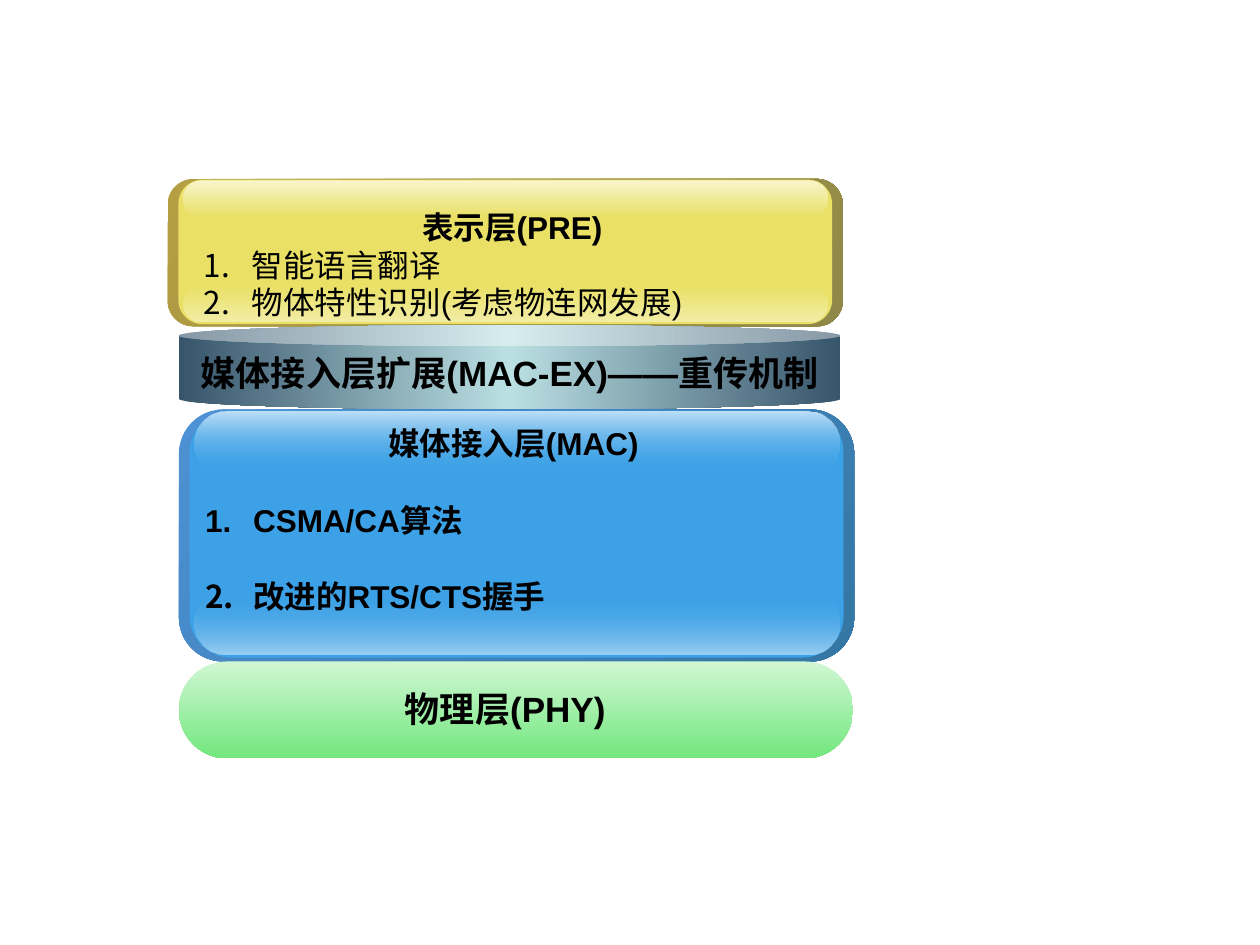
"""Draw a four-layer network stack: PRE, MAC-EX, MAC and PHY."""
from dataclasses import dataclass

import pptx
import pptx.dml.color
import pptx.enum.shapes
import pptx.enum.text
import pptx.oxml
import pptx.oxml.ns
import pptx.util

SHAPES = pptx.enum.shapes.MSO_SHAPE
ALIGN = pptx.enum.text.PP_ALIGN
ANCHOR = pptx.enum.text.MSO_ANCHOR
WIDE, HIGH = pptx.util.Inches(10), pptx.util.Inches(7.5)
COLS, ROWS = 1000, 750


@dataclass(frozen=True)
class Theme:
    font: str = "Arial"
    ink: str = "000000"
    small: int = 18
    large: int = 20
    steel: tuple = ("37556B", "BBE0E3", "37556B")
    green: tuple = ("D0F7D4", "73E77E")


@dataclass(frozen=True)
class Box:
    col: float
    row: float
    cols: float
    rows: float

    def inner(self, left: float, top: float, wide: float, high: float) -> "Box":
        return Box(self.col + left * self.cols, self.row + top * self.rows,
                   wide * self.cols, high * self.rows)

    def place(self) -> tuple:
        return (round(self.col * WIDE / COLS), round(self.row * HIGH / ROWS),
                round(self.cols * WIDE / COLS), round(self.rows * HIGH / ROWS))


@dataclass(frozen=True)
class Line:
    text: str
    size: int
    bold: bool = True
    item: bool = False
    gap: int = 0


@dataclass(frozen=True)
class Panel:
    box: Box
    edge: tuple
    face: str
    shine: str
    glow: str
    clear: bool
    label: Box
    lines: tuple


THEME = Theme()
PANELS = (
    Panel(Box(142, 325, 536, 200), ("4E91D4", "3477A4"), "3CA1E6", "BEE0F7", "9BCFF2", True,
          Box(153, 332, 509, 160),
          (Line("媒体接入层(MAC)", THEME.small),
           Line("CSMA/CA算法", THEME.small, item=True, gap=22),
           Line("改进的RTS/CTS握手", THEME.small, item=True, gap=22))),
    Panel(Box(133, 142, 536, 117), ("B59F43", "8F8849"), "E9E065", "F8F5CC", "F2EDA6", False,
          Box(152, 160, 509, 100),
          (Line("表示层(PRE)", THEME.small),
           Line("智能语言翻译", THEME.small, bold=False, item=True),
           Line("物体特性识别(考虑物连网发展)", THEME.small, bold=False, item=True))),
)


def shade(shape, tones: tuple, angle: int, clear: str = "") -> None:
    """Fill a shape with evenly spaced tones; the clear tone is see-through."""
    step = 100000 // (len(tones) - 1)
    stops = "".join(
        f'<a:gs pos="{i * step}"><a:srgbClr val="{tone}">'
        f'{"<a:alpha val=" + chr(34) + "0" + chr(34) + "/>" if tone == clear else ""}'
        f'</a:srgbClr></a:gs>' for i, tone in enumerate(tones))
    fill = pptx.oxml.parse_xml(
        f'<a:gradFill {pptx.oxml.ns.nsdecls("a")} rotWithShape="1"><a:gsLst>{stops}</a:gsLst>'
        f'<a:lin ang="{angle * 60000}" scaled="0"/></a:gradFill>')
    shape.fill.background()
    props = shape.element.spPr
    props.replace(props.find(pptx.oxml.ns.qn("a:noFill")), fill)


def block(slide, kind, box: Box, bend: float):
    """Add a plain shape without line or shadow."""
    shape = slide.shapes.add_shape(kind, *box.place())
    shape.adjustments[0] = bend
    shape.shadow.inherit = False
    shape.line.fill.background()
    return shape


def number(para) -> None:
    """Give a paragraph a hanging black number."""
    props = para._p.get_or_add_pPr()
    props.set("marL", str(pptx.util.Inches(0.38)))
    props.set("indent", str(-pptx.util.Inches(0.38)))
    space = pptx.oxml.ns.nsdecls("a")
    for mark in (f'<a:buClr {space}><a:srgbClr val="{THEME.ink}"/></a:buClr>',
                 f'<a:buAutoNum {space} type="arabicPeriod"/>'):
        props.append(pptx.oxml.parse_xml(mark))


def write(frame, lines: tuple, wrap: bool = True) -> None:
    """Write the lines into a text frame."""
    frame.word_wrap = wrap
    for i, line in enumerate(lines):
        para = frame.paragraphs[0] if i == 0 else frame.add_paragraph()
        para.alignment = ALIGN.LEFT if line.item else ALIGN.CENTER
        para.space_before = pptx.util.Pt(line.gap)
        if line.item:
            number(para)
        run = para.add_run()
        run.text = line.text
        run.font.name = THEME.font
        run.font.size = pptx.util.Pt(line.size)
        run.font.bold = line.bold
        run.font.color.rgb = pptx.dml.color.RGBColor.from_string(THEME.ink)


def label(slide, box: Box, lines: tuple) -> None:
    """Add a text box."""
    write(slide.shapes.add_textbox(*box.place()).text_frame, lines)


def glass(slide, panel: Panel) -> None:
    """Add a glossy panel: edge, face, two sheens and text."""
    kind, clear = SHAPES.ROUNDED_RECTANGLE, panel.face if panel.clear else ""
    shade(block(slide, kind, panel.box, 0.175), panel.edge, 45)
    face = block(slide, kind, panel.box.inner(0.016, 0.005, 0.968, 0.98), 0.167)
    face.fill.solid()
    face.fill.fore_color.rgb = pptx.dml.color.RGBColor.from_string(panel.face)
    for top, tones in ((0.723, (panel.face, panel.glow)), (0.01, (panel.shine, panel.face))):
        sheen = block(slide, kind, panel.box.inner(0.023, top, 0.955, 0.25), 0.5)
        shade(sheen, tones, 90, clear)
    label(slide, panel.label, panel.lines)


def main() -> None:
    """Build and save the slide."""
    deck = pptx.Presentation()
    deck.slide_width, deck.slide_height = WIDE, HIGH
    slide = deck.slides.add_slide(deck.slide_layouts[6])
    for panel in PANELS:
        glass(slide, panel)
    base = block(slide, SHAPES.ROUNDED_RECTANGLE, Box(142, 525, 535, 77), 0.5)
    shade(base, THEME.green, 90)
    label(slide, Box(157, 541, 488, 44), (Line("物理层(PHY)", THEME.large),))
    drum = block(slide, SHAPES.CAN, Box(142, 258, 525, 67), 0.25)
    shade(drum, THEME.steel, 0)
    drum.text_frame.vertical_anchor = ANCHOR.MIDDLE
    write(drum.text_frame, (Line("媒体接入层扩展(MAC-EX)——重传机制", THEME.large),), wrap=False)
    deck.save("out.pptx")


if __name__ == "__main__":
    main()
